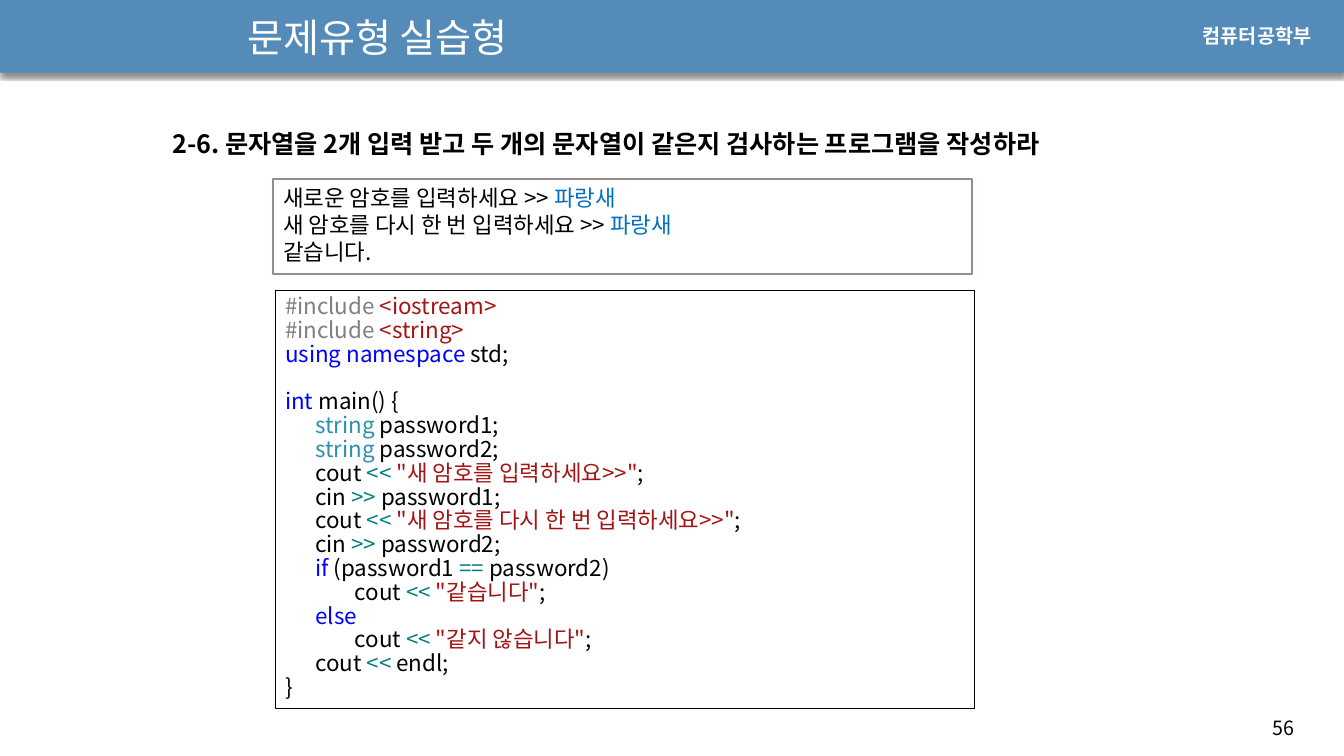
"""Build the string comparison exercise slide."""
from lxml import etree
from pptx import Presentation
from pptx import util as u
from pptx.dml.color import RGBColor
from pptx.enum import shapes, text
from pptx.oxml import ns

BLACK = RGBColor(0x00, 0x00, 0x00)
WHITE = RGBColor(0xFF, 0xFF, 0xFF)
HEADER_BLUE = RGBColor(0x55, 0x8B, 0xB8)
FRAME_GRAY = RGBColor(0x96, 0x8C, 0x8C)
INPUT_BLUE = RGBColor(0x00, 0x70, 0xC0)
DIRECTIVE = RGBColor(0x80, 0x80, 0x80)
LITERAL = RGBColor(0xA3, 0x15, 0x15)
KEYWORD = RGBColor(0x00, 0x00, 0xFF)
TYPE = RGBColor(0x2B, 0x91, 0xAF)
OPERATOR = RGBColor(0x00, 0x80, 0x80)
KOREAN = "Noto Sans CJK KR"
INDENTS = (0, 0.3, 0.69)
CODE_PITCH = u.Pt(17)

TITLE = "문제유형 실습형"
DEPARTMENT = "컴퓨터공학부"
PAGE_NUMBER = "56"
QUESTION = "2-6. 문자열을 2개 입력 받고 두 개의 문자열이 같은지 검사하는 프로그램을 작성하라"

SAMPLE = [
    (0, [("새로운 암호를 입력하세요 >> ", BLACK), ("파랑새", INPUT_BLUE)]),
    (0, [("새 암호를 다시 한 번 입력하세요 >> ", BLACK), ("파랑새", INPUT_BLUE)]),
    (0, [("같습니다.", BLACK)]),
]


def output(level, literal):
    """Return a code line that prints a literal."""
    return level, [("cout ", BLACK), ("<< ", OPERATOR), (literal, LITERAL), (";", BLACK)]


CODE_BLOCKS = [
    [
        (0, [("#include ", DIRECTIVE), ("<iostream>", LITERAL)]),
        (0, [("#include ", DIRECTIVE), ("<string>", LITERAL)]),
        (0, [("using namespace", KEYWORD), (" std;", BLACK)]),
    ],
    [
        (0, [("int", KEYWORD), (" main() {", BLACK)]),
        (1, [("string", TYPE), (" password1;", BLACK)]),
        (1, [("string", TYPE), (" password2;", BLACK)]),
        output(1, '"새 암호를 입력하세요>>"'),
        (1, [("cin ", BLACK), (">>", OPERATOR), (" password1;", BLACK)]),
        output(1, '"새 암호를 다시 한 번 입력하세요>>"'),
        (1, [("cin ", BLACK), (">>", OPERATOR), (" password2;", BLACK)]),
        (1, [("if", KEYWORD), (" (password1 ", BLACK), ("==", OPERATOR), (" password2)", BLACK)]),
        output(2, '"같습니다"'),
        (1, [("else", KEYWORD)]),
        output(2, '"같지 않습니다"'),
        (1, [("cout ", BLACK), ("<< ", OPERATOR), ("endl;", BLACK)]),
        (0, [("}", BLACK)]),
    ],
]

deck = Presentation()
deck.slide_width, deck.slide_height = u.Inches(13.33), u.Inches(7.5)
page = deck.slides.add_slide(deck.slide_layouts[6])


def add_rectangle(place, fill, line=None, width=0):
    """Add a filled rectangle with an optional outline."""
    box = page.shapes.add_shape(shapes.MSO_SHAPE.RECTANGLE, *map(u.Inches, place))
    box.shadow.inherit = False
    box.fill.solid()
    box.fill.fore_color.rgb = fill
    if line is None:
        box.line.fill.background()
    else:
        box.line.color.rgb = line
        box.line.width = u.Pt(width)
    return box


def write(box, lines, size, font=KOREAN, bold=False, anchor=text.MSO_ANCHOR.TOP, **spacing):
    """Write indented lines of coloured spans into a box."""
    frame = box.text_frame
    frame.word_wrap = True
    frame.vertical_anchor = anchor
    for number, (level, spans) in enumerate(lines):
        para = frame.add_paragraph() if number else frame.paragraphs[0]
        para.alignment = text.PP_ALIGN.LEFT
        for name, value in spacing.items():
            setattr(para, name, value)
        if level:
            para._p.get_or_add_pPr().set("indent", str(u.Inches(INDENTS[level])))
        for words, colour in spans:
            span = para.add_run()
            span.text = words
            for name, value in {"name": font, "size": u.Pt(size), "bold": bold}.items():
                setattr(span.font, name, value)
            span.font.color.rgb = colour
            etree.SubElement(span._r.rPr, ns.qn("a:ea"), typeface=font)
    return frame


def add_label(place, words, colour, size, **style):
    """Add a text box holding one line in one colour."""
    box = page.shapes.add_textbox(*map(u.Inches, place))
    return write(box, [(0, [(words, colour)])], size, **style)


header = add_rectangle((0, -0.01, 13.33, 0.73), HEADER_BLUE)
effects = header._element.spPr.find(ns.qn("a:effectLst"))
shadow = etree.SubElement(effects, ns.qn("a:outerShdw"), blurRad=str(u.Pt(3)),
                          dist=str(u.Pt(2.4)), dir="5400000", rotWithShape="0")
shade = etree.SubElement(shadow, ns.qn("a:srgbClr"), val=str(BLACK))
etree.SubElement(shade, ns.qn("a:alpha"), val="45000")

add_label((12.52, 7.05, 0.71, 0.34), PAGE_NUMBER, BLACK, 14)
add_label((11.83, 0.19, 1.37, 0.34), DEPARTMENT, WHITE, 14, font="Arial", bold=True)
title = add_label((2.26, 0.05, 7.01, 0.63), TITLE, WHITE, 28, anchor=text.MSO_ANCHOR.MIDDLE)
title.margin_left = u.Inches(0.19)
add_label((1.61, 1.07, 10.08, 1.02), QUESTION, BLACK, 18, bold=True,
          line_spacing=1.5, space_after=u.Pt(6))

sample_box = add_rectangle((2.71, 1.78, 6.93, 0.94), WHITE, FRAME_GRAY, 1.5)
write(sample_box, SAMPLE, 16)

code_box = add_rectangle((2.73, 2.88, 6.93, 4.15), WHITE, BLACK, 0.5)
code = write(code_box, sum(CODE_BLOCKS, []), 16, line_spacing=CODE_PITCH)
code.paragraphs[len(CODE_BLOCKS[0])].space_before = CODE_PITCH

deck.save("out.pptx")
